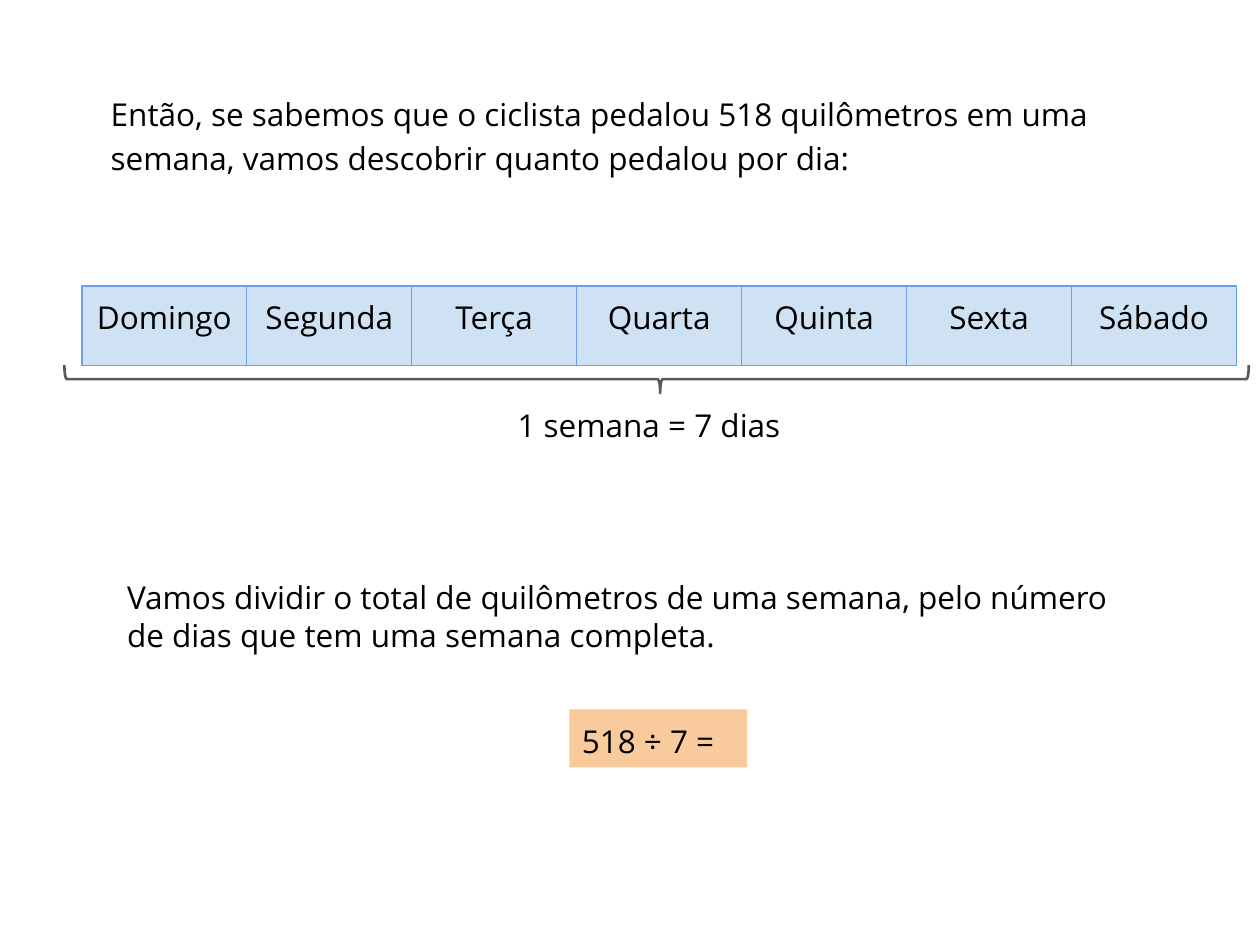
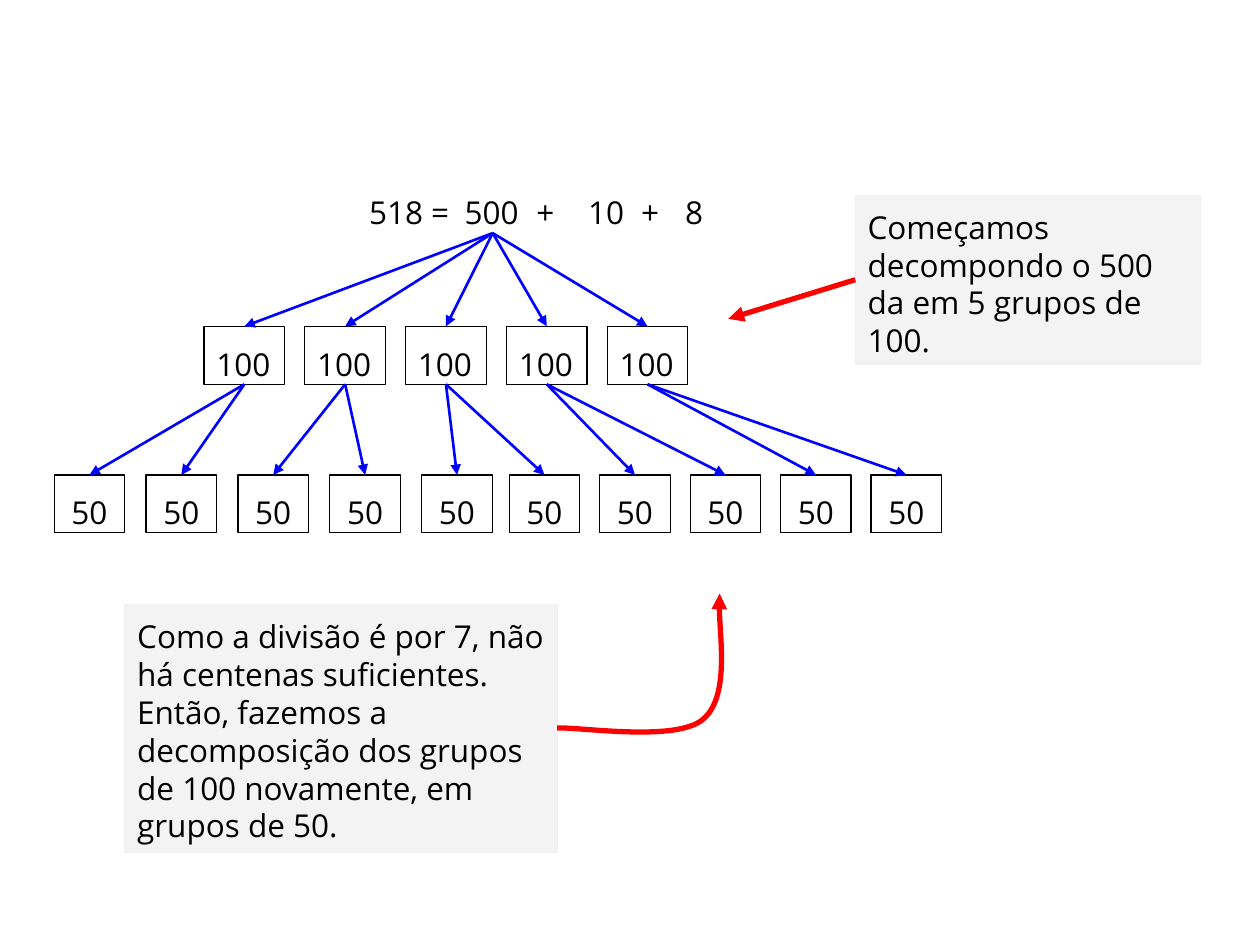
import dataclasses

import lxml.etree
import pptx
import pptx.dml.color
import pptx.enum.shapes
import pptx.enum.text
import pptx.oxml.ns
import pptx.util

Pt = pptx.util.Pt
qn = pptx.oxml.ns.qn
SHAPES = pptx.enum.shapes.MSO_SHAPE
ALIGN = pptx.enum.text.PP_ALIGN
TOP, LEFT, BOTTOM = 0, 1, 2  # connection sites of a rectangle


@dataclasses.dataclass(frozen=True)
class Theme:
    font: str = "Open Sans"
    size: float = 18
    inset: float = 7.2
    loose: float = 1.15
    text: str = "000000"
    background: str = "FFFFFF"
    day_fill: str = "CFE2F3"
    day_line: str = "6D9EEB"
    brace: str = "595959"
    result_fill: str = "F9CB9C"
    note_fill: str = "F3F3F3"
    note_line: str = "EFEFEF"
    branch: str = "0000FF"
    pointer: str = "FF0000"
    thin: float = 0.75
    medium: float = 1.5
    thick: float = 3


def rgb(value):
    return pptx.dml.color.RGBColor.from_string(value)


class Deck:
    """Holds the theme and the slide being drawn; all lengths are in points."""

    def __init__(self, theme):
        self.theme = theme
        self.presentation = pptx.Presentation()
        self.presentation.slide_width = Pt(720)
        self.presentation.slide_height = Pt(540)
        self.slide = None

    def new_slide(self):
        self.slide = self.presentation.slides.add_slide(self.presentation.slide_layouts[6])
        fill = self.slide.background.fill
        fill.solid()
        fill.fore_color.rgb = rgb(self.theme.background)

    def set_text(self, shape, text, align=ALIGN.LEFT, spacing=None):
        frame = shape.text_frame
        frame.word_wrap = True
        frame.vertical_anchor = pptx.enum.text.MSO_ANCHOR.TOP
        frame.margin_left = frame.margin_right = Pt(self.theme.inset)
        frame.margin_top = frame.margin_bottom = Pt(self.theme.inset)
        paragraph = frame.paragraphs[0]
        paragraph.text = text
        paragraph.alignment = align
        paragraph.line_spacing = spacing
        paragraph.font.name = self.theme.font
        paragraph.font.size = Pt(self.theme.size)
        paragraph.font.color.rgb = rgb(self.theme.text)

    def text(self, text, left, top, width, height=33.1, spacing=None):
        shape = self.slide.shapes.add_textbox(Pt(left), Pt(top), Pt(width), Pt(height))
        self.set_text(shape, text, spacing=spacing)
        return shape

    def box(self, text, left, top, width, height=33.1, fill=None, line=None,
            align=ALIGN.LEFT, spacing=None):
        shape = self.slide.shapes.add_shape(
            SHAPES.RECTANGLE, Pt(left), Pt(top), Pt(width), Pt(height))
        shape.shadow.inherit = False
        if fill:
            shape.fill.solid()
            shape.fill.fore_color.rgb = rgb(fill)
        else:
            shape.fill.background()
        if line:
            self.stroke(shape, line, self.theme.thin)
        else:
            shape.line.fill.background()
        self.set_text(shape, text, align, spacing)
        return shape

    def note(self, text, left, top, width, height):
        return self.box(text, left, top, width, height,
                        self.theme.note_fill, self.theme.note_line)

    def brace(self, left, top, width, height):
        shape = self.slide.shapes.add_shape(
            SHAPES.RIGHT_BRACE, Pt(left), Pt(top), Pt(width), Pt(height))
        shape.rotation = 90
        shape.adjustments[0] = 0.083
        shape.adjustments[1] = 0.497
        shape.shadow.inherit = False
        shape.fill.background()
        self.stroke(shape, self.theme.brace, self.theme.medium)

    def stroke(self, shape, color, width, arrow=False):
        shape.line.color.rgb = rgb(color)
        shape.line.width = Pt(width)
        if arrow:
            outline = shape._element.spPr.find(qn("a:ln"))
            lxml.etree.SubElement(outline, qn("a:tailEnd"), type="triangle")

    def connector(self, color, width, start, start_site, end=None, end_site=TOP, point=(0, 0)):
        """Arrow from a shape to another shape, or to a free point."""
        connector = self.slide.shapes.add_connector(
            pptx.enum.shapes.MSO_CONNECTOR.STRAIGHT, 0, 0, Pt(point[0]), Pt(point[1]))
        connector.begin_connect(start, start_site)
        if end is not None:
            connector.end_connect(end, end_site)
        self.stroke(connector, color, width, arrow=True)
        lxml.etree.SubElement(connector._element.spPr, qn("a:effectLst"))

    def branch(self, parent, children):
        for child in children:
            self.connector(self.theme.branch, self.theme.medium, parent, BOTTOM, child)

    def curve(self, start, points):
        """Arrow along cubic curves; each takes three of the points."""
        builder = self.slide.shapes.build_freeform(Pt(start[0]), Pt(start[1]))
        builder.add_line_segments([(Pt(x), Pt(y)) for x, y in points], close=False)
        shape = builder.convert_to_shape()
        shape.shadow.inherit = False
        shape.fill.background()
        self.stroke(shape, self.theme.pointer, self.theme.thick, arrow=True)
        # Turn every three line segments into one curve
        segments = list(shape._element.iter(qn("a:lnTo")))
        for first in range(0, len(segments), 3):
            group = segments[first:first + 3]
            cubic = lxml.etree.Element(qn("a:cubicBezTo"))
            group[0].addprevious(cubic)
            for segment in group:
                cubic.append(segment[0])
                segment.getparent().remove(segment)


def week_slide(deck):
    theme = deck.theme
    deck.new_slide()
    deck.text("Então, se sabemos que o ciclista pedalou 518 quilômetros em uma semana, "
              "vamos descobrir quanto pedalou por dia:",
              56.2, 43.9, 607.7, 66.2, theme.loose)
    deck.text("1 semana = 7 dias", 288.7, 224.6, 172.8)

    # Days of the week
    days = ["Domingo", "Segunda", "Terça", "Quarta", "Quinta", "Sexta", "Sábado"]
    day_width = 94.25
    for index, day in enumerate(days):
        deck.box(day, 46.8 + index * day_width, 163.4, day_width, 45.4,
                 theme.day_fill, theme.day_line, ALIGN.CENTER)
    deck.brace(367.2, -121.7, 16, 676.8)

    # Division
    deck.box("518 ÷ 7 =", 325.4, 405.4, 101.5, fill=theme.result_fill)
    deck.text("Vamos dividir o total de quilômetros de uma semana, pelo número "
              "de dias que tem uma semana completa.", 65.5, 323.3, 598.3)


def decomposition_slide(deck):
    theme = deck.theme
    deck.new_slide()

    # Sum at the top of the tree
    terms = [("518 =", 203.8, 62), ("500", 258.5, 46.1), ("+", 299.5, 26.6),
             ("10", 329, 40), ("+", 359.3, 26.6), ("8", 384.5, 55.4)]
    sum_shapes = [deck.text(term, left, 100.1, width, spacing=theme.loose)
                  for term, left, width in terms]
    five_hundred = sum_shapes[1]

    # Hundreds, then two runs of five fifties
    hundreds = [deck.box("100", 116.6 + index * 57.6, 186.5, 46.1,
                         line=theme.text, spacing=theme.loose)
                for index in range(5)]
    fifties = [deck.box("50", start + index * step, 271.4, 40.3, line=theme.text,
                        align=ALIGN.CENTER, spacing=theme.loose)
               for start, step in ((31, 52.5), (291, 51.7))
               for index in range(5)]
    deck.branch(five_hundred, hundreds)
    for index, hundred in enumerate(hundreds):
        deck.branch(hundred, fifties[2 * index:2 * index + 2])

    # Notes and their pointers
    first_note = deck.note("Começamos decompondo o 500 da em 5 grupos de 100.",
                           488.7, 111.6, 197.3, 96.5)
    deck.note("Como a divisão é por 7, não há centenas suficientes. Então, fazemos a "
              "decomposição dos grupos de 100 novamente, em grupos de 50.",
              71.3, 345.6, 247.5, 141.8)
    deck.connector(theme.pointer, theme.thick, first_note, LEFT, point=(416.2, 182.2))
    deck.curve((318.4, 416), [(332, 415.5), (386, 424), (401.5, 411.3),
                              (417, 398.7), (409.7, 351.4), (411.3, 339.2)])


def main():
    deck = Deck(Theme())
    week_slide(deck)
    decomposition_slide(deck)
    deck.presentation.save("out.pptx")


if __name__ == "__main__":
    main()
